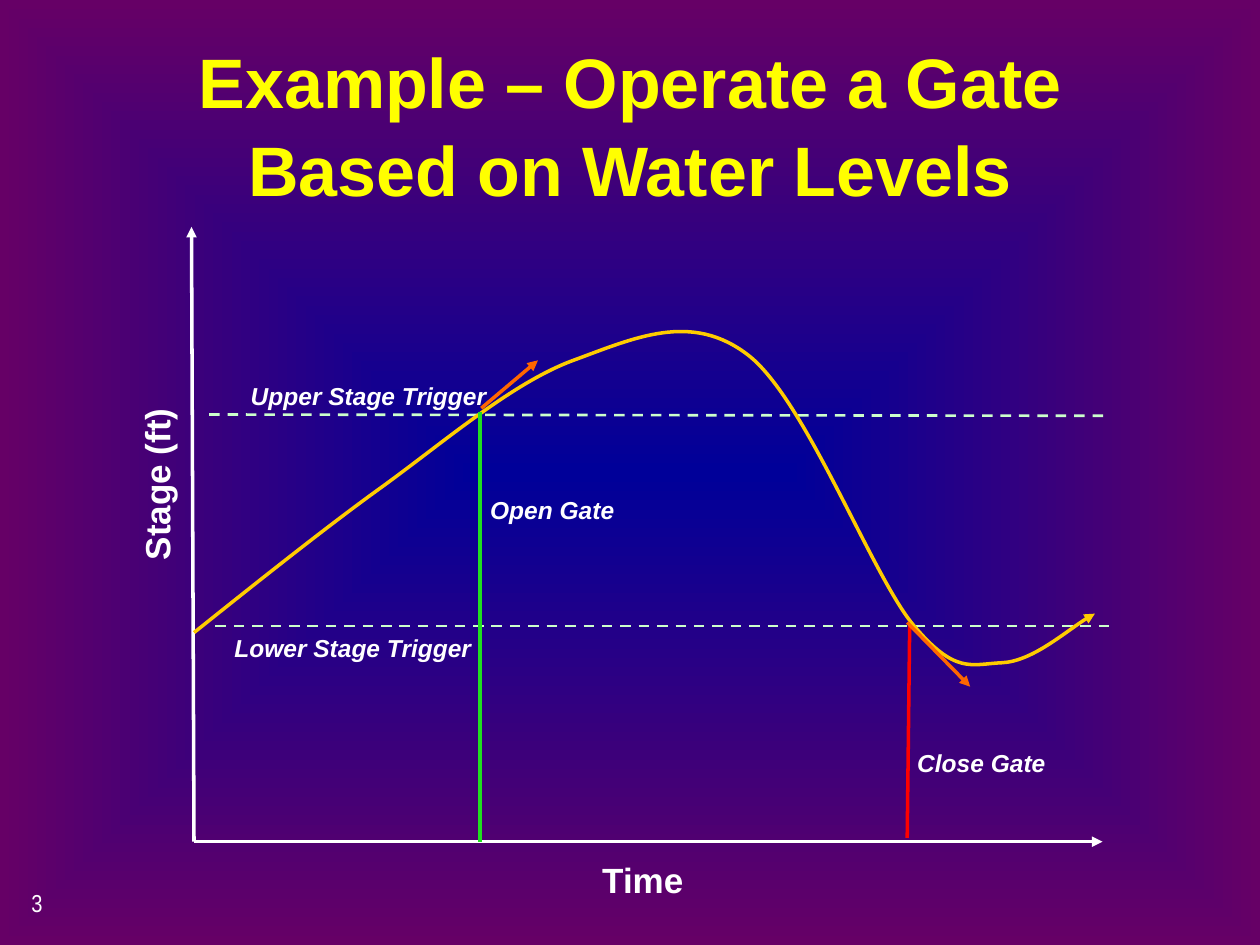
from dataclasses import dataclass
from typing import Any, Optional

import lxml.etree
import pptx
import pptx.dml.color
import pptx.enum.dml
import pptx.enum.shapes
import pptx.enum.text
import pptx.oxml.ns
import pptx.util

EMU_PER_PX = 9144  # 100 px to the inch
WHITE, YELLOW, MINT = "FFFFFF", "FFFF00", "CCFFCC"
GOLD, GREEN, RED, ORANGE = "FFCC00", "21DF21", "FF0000", "FF6600"

# Start point, then three points for each Bezier segment.
STAGE_CURVE = [
    (154, 502),
    (178, 483), (251, 424), (301, 388),
    (351, 352), (406, 304), (455, 286),
    (504, 268), (549, 247), (594, 282),
    (639, 317), (691, 454), (724, 495),
    (758, 536), (771, 527), (795, 526),
    (819, 525), (853, 495), (869, 487),
]


@dataclass
class Line:
    start: tuple[int, int]
    end: tuple[int, int]
    color: str
    width: float = 2
    dashed: bool = False
    arrow: Optional[str] = None


@dataclass
class Label:
    text: str
    box: tuple[int, int, int, int]
    size: int = 14
    italic: bool = True


DIAGRAM_LINES = [
    Line((152, 180), (154, 668), WHITE, arrow="headEnd"),
    Line((154, 668), (875, 668), WHITE, arrow="tailEnd"),
    Line((166, 329), (879, 330), MINT, 1.5, dashed=True),
    Line((171, 497), (884, 497), MINT, 1.5, dashed=True),
]
GATE_LINES = [
    Line((381, 327), (381, 668), GREEN),
    Line((722, 497), (720, 665), RED),
]
TREND_ARROWS = [
    Line((382, 324), (427, 286), ORANGE, arrow="tailEnd"),
    Line((720, 494), (770, 545), ORANGE, arrow="tailEnd"),
]
LABELS = [
    Label("Time", (478, 681, 74, 45), 20, italic=False),
    Label("Upper Stage Trigger", (199, 302, 210, 28)),
    Label("Lower Stage Trigger", (186, 502, 191, 39)),
    Label("Close Gate", (728, 594, 104, 40)),
    Label("Open Gate", (389, 393, 105, 40)),
]


def px(length: int) -> pptx.util.Emu:
    return pptx.util.Emu(length * EMU_PER_PX)


def rgb(color: str) -> pptx.dml.color.RGBColor:
    return pptx.dml.color.RGBColor.from_string(color)


def add_element(parent: Any, tag: str, **attributes: str) -> Any:
    return lxml.etree.SubElement(parent, pptx.oxml.ns.qn(tag), attributes)


def format_line(line: Any, color: str, width: float, arrow: Optional[str]) -> None:
    line.color.rgb = rgb(color)
    line.width = pptx.util.Pt(width)
    if arrow:
        add_element(line._get_or_add_ln(), f"a:{arrow}", type="triangle")


def draw_line(shapes: Any, line: Line) -> None:
    connector = shapes.add_connector(
        pptx.enum.shapes.MSO_CONNECTOR.STRAIGHT, *map(px, line.start + line.end)
    )
    if line.dashed:
        connector.line.dash_style = pptx.enum.dml.MSO_LINE.DASH
    format_line(connector.line, line.color, line.width, line.arrow)
    add_element(connector.element.spPr, "a:effectLst")


def draw_curve(shapes: Any, points: list[tuple[int, int]]) -> None:
    """Draw an open outline and merge each three line segments into one Bezier."""
    builder = shapes.build_freeform(*points[0], scale=EMU_PER_PX)
    builder.add_line_segments(points[1:], close=False)
    curve = builder.convert_to_shape()
    segments = curve.element.xpath(".//a:lnTo")
    outline = segments[0].getparent()
    for first in range(0, len(segments), 3):
        bezier = add_element(outline, "a:cubicBezTo")
        for segment in segments[first:first + 3]:
            bezier.append(segment[0])
            outline.remove(segment)
    curve.fill.background()
    curve.shadow.inherit = False
    format_line(curve.line, GOLD, 2, "tailEnd")


def write_text(frame: Any, text: str, *, size: int, color: str = WHITE,
               font: str = "Arial", bold: bool = True, italic: bool = False) -> Any:
    paragraph = frame.paragraphs[0]
    run = paragraph.add_run()
    run.text = text
    run.font.name = font
    run.font.size = pptx.util.Pt(size)
    run.font.bold = bold
    run.font.italic = italic
    run.font.color.rgb = rgb(color)
    return paragraph


def add_text(shapes: Any, text: str, box: tuple[int, int, int, int], *,
             inset: bool = True, **text_format: Any) -> Any:
    shape = shapes.add_textbox(*map(px, box))
    frame = shape.text_frame
    if not inset:
        frame.margin_left = frame.margin_right = 0
        frame.margin_top = frame.margin_bottom = 0
    frame.word_wrap = True
    write_text(frame, text, **text_format)
    return shape


def paint_background(slide: Any) -> None:
    """Fill with a rectangular gradient from blue at the centre to purple."""
    fill = slide.background.fill
    fill.gradient()
    for stop, color in zip(fill.gradient_stops, ("000099", "660066")):
        stop.color.rgb = rgb(color)
    linear = slide.element.xpath(".//p:bg//a:lin")[0]
    gradient = linear.getparent()
    gradient.remove(linear)
    rectangle = add_element(gradient, "a:path", path="rect")
    add_element(rectangle, "a:fillToRect", l="50000", t="50000", r="50000", b="50000")


def add_title(slide: Any, text: str) -> None:
    title = slide.shapes.title
    title.left, title.top, title.width, title.height = map(px, (75, 35, 850, 125))
    frame = title.text_frame
    frame.auto_size = pptx.enum.text.MSO_AUTO_SIZE.NONE
    frame.vertical_anchor = pptx.enum.text.MSO_ANCHOR.MIDDLE
    paragraph = write_text(frame, text, size=40, color=YELLOW)
    paragraph.alignment = pptx.enum.text.PP_ALIGN.CENTER
    paragraph.line_spacing = 1.05


def draw_diagram(shapes: Any) -> None:
    for line in DIAGRAM_LINES:
        draw_line(shapes, line)
    draw_curve(shapes, STAGE_CURVE)
    for line in GATE_LINES:
        draw_line(shapes, line)
    for label in LABELS:
        add_text(shapes, label.text, label.box, inset=False,
                 size=label.size, italic=label.italic)
    stage = add_text(shapes, "Stage (ft)", (41, 349, 167, 44), size=20)
    stage.rotation = 270


def main() -> None:
    presentation = pptx.Presentation()
    presentation.slide_width, presentation.slide_height = px(1000), px(750)
    slide = presentation.slides.add_slide(presentation.slide_layouts[5])
    paint_background(slide)
    add_title(slide, "Example – Operate a Gate Based on Water Levels")
    add_text(slide.shapes, "3", (15, 700, 208, 50),
             size=14, font="Arial Narrow", bold=False)
    draw_diagram(slide.shapes.add_group_shape().shapes)
    for arrow in TREND_ARROWS:
        draw_line(slide.shapes, arrow)
    presentation.save("out.pptx")


if __name__ == "__main__":
    main()
